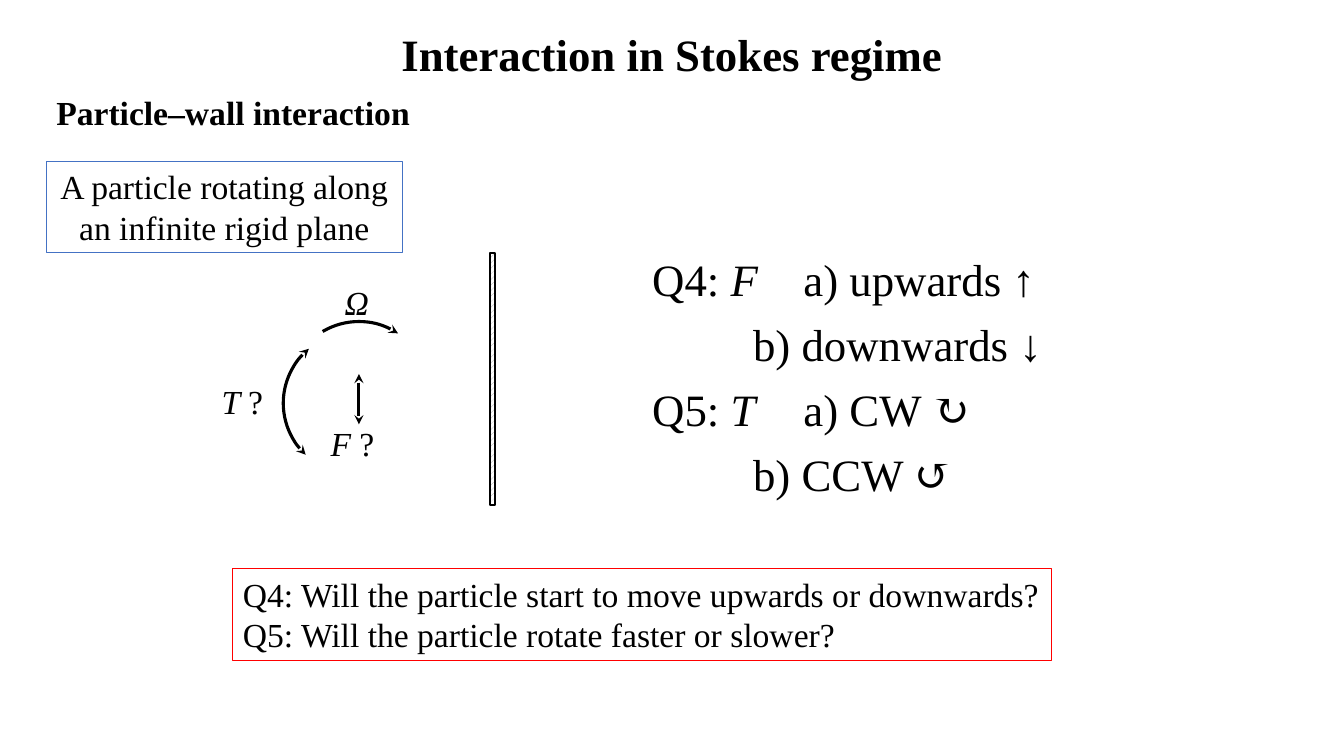
import pptx
import pptx.util
import pptx.dml.color
import pptx.enum.dml
import pptx.enum.shapes
import pptx.enum.text
import pptx.oxml.ns
import lxml.etree

Inches = pptx.util.Inches
Pt = pptx.util.Pt
KIND = pptx.enum.shapes.MSO_SHAPE
ALIGN = pptx.enum.text.PP_ALIGN
rgb = pptx.dml.color.RGBColor.from_string
qn = pptx.oxml.ns.qn


def write(shape, lines, size=24, bold=False, align=ALIGN.LEFT, after=0, lead=None):
    """Each line is a list of (text, italic) runs."""
    frame = shape.text_frame
    frame.word_wrap = True
    frame.auto_size = pptx.enum.text.MSO_AUTO_SIZE.SHAPE_TO_FIT_TEXT
    frame.vertical_anchor = pptx.enum.text.MSO_ANCHOR.TOP
    for i, line in enumerate(lines):
        para = frame.add_paragraph() if i else frame.paragraphs[0]
        para.alignment = align
        para.space_after = Pt(after)
        if lead:
            para.line_spacing = lead
        for text, italic in line:
            run = para.add_run()
            run.text = text
            font = run.font
            font.name = "Times New Roman"
            font.size = Pt(size)
            font.bold = bold
            font.italic = italic
            font.color.rgb = rgb("000000")


def stroke(shape, color, width, ends=()):
    """Line colour and width, with stealth arrowheads at the named ends."""
    shape.line.color.rgb = rgb(color)
    shape.line.width = Pt(width)
    for end in ends:
        tip = lxml.etree.SubElement(shape.line._get_or_add_ln(), qn(f"a:{end}"))
        tip.set("type", "stealth")


deck = pptx.Presentation()
deck.slide_width = Inches(13.33)
deck.slide_height = Inches(7.5)
slide = deck.slides.add_slide(deck.slide_layouts[6])
shapes = slide.shapes

# Title and heading
title = shapes.add_textbox(Inches(0.9), Inches(0.22), Inches(11.53), Inches(0.64))
write(title, [[("Interaction in Stokes regime", False)]], 32, True, ALIGN.CENTER)
head = shapes.add_textbox(Inches(0.46), Inches(0.86), Inches(4.75), Inches(0.5))
write(head, [[("Particle‒wall interaction", False)]], bold=True)

# Framed texts
frames = [
    (0.46, 1.6, 3.53, "4472C4", ALIGN.CENTER,
     ["A particle rotating along an infinite rigid plane"]),
    (2.31, 5.64, 8.12, "FF0000", ALIGN.LEFT,
     ["Q4: Will the particle start to move upwards or downwards?",
      "Q5: Will the particle rotate faster or slower?"]),
]
for x, y, w, color, align, lines in frames:
    box = shapes.add_shape(KIND.RECTANGLE, Inches(x), Inches(y), Inches(w), Inches(0.91))
    box.shadow.inherit = False
    box.fill.background()
    stroke(box, color, 0.75)
    write(box, [[(line, False)] for line in lines], align=align)

# Sketch: the wall
sketch = shapes.add_group_shape().shapes
wall = sketch.add_shape(KIND.RECTANGLE, Inches(4.86), Inches(2.51), Inches(0.05), Inches(2.5))
wall.shadow.inherit = False
wall.fill.patterned()
wall.fill.pattern = pptx.enum.dml.MSO_PATTERN.WIDE_UPWARD_DIAGONAL
wall.fill.fore_color.rgb = rgb("A6A6A6")
wall.fill.back_color.rgb = rgb("FFFFFF")
stroke(wall, "000000", 1)

# Sketch: labels
labels = [
    (3.32, 2.72, 0.37, [("Ω", True)]),
    (3.18, 4.12, 1.13, [("F ", True), ("?", False)]),
    (2.1, 3.7, 1.13, [("T ", True), ("?", False)]),
]
for x, y, w, runs in labels:
    label = sketch.add_textbox(Inches(x), Inches(y), Inches(w), Inches(0.5))
    write(label, [runs], after=8, lead=1.07)

# Sketch: force arrow
force = sketch.add_connector(
    pptx.enum.shapes.MSO_CONNECTOR.STRAIGHT,
    Inches(3.56), Inches(3.71), Inches(3.56), Inches(4.21))
stroke(force, "000000", 2.25, ["headEnd", "tailEnd"])
lxml.etree.SubElement(force._element.spPr, qn("a:effectLst"))

# Sketch: torque and spin arcs, angles in degrees
arcs = [
    (2.81, 3.3, (133, 230.45), ["headEnd", "tailEnd"]),
    (2.86, 3.19, (239.16, 303.7), ["tailEnd"]),
]
for x, y, angles, ends in arcs:
    arc = sketch.add_shape(KIND.ARC, Inches(x), Inches(y), Inches(1.4), Inches(1.4))
    arc.shadow.inherit = False
    arc.fill.background()
    for i, angle in enumerate(angles):
        arc.adjustments[i] = angle * 0.6
    stroke(arc, "000000", 2.25, ends)

# Questions and choices
quiz = shapes.add_textbox(Inches(6.37), Inches(2.45), Inches(5.09), Inches(2.59))
write(quiz, [
    [("Q4: ", False), ("F\t", True), ("a) upwards ↑", False)],
    [("\t\tb) downwards ↓", False)],
    [("Q5: ", False), ("T\t", True), ("a) CW ↻", False)],
    [("\t\tb) CCW ↺", False)],
], 32, after=8)

deck.save("out.pptx")
